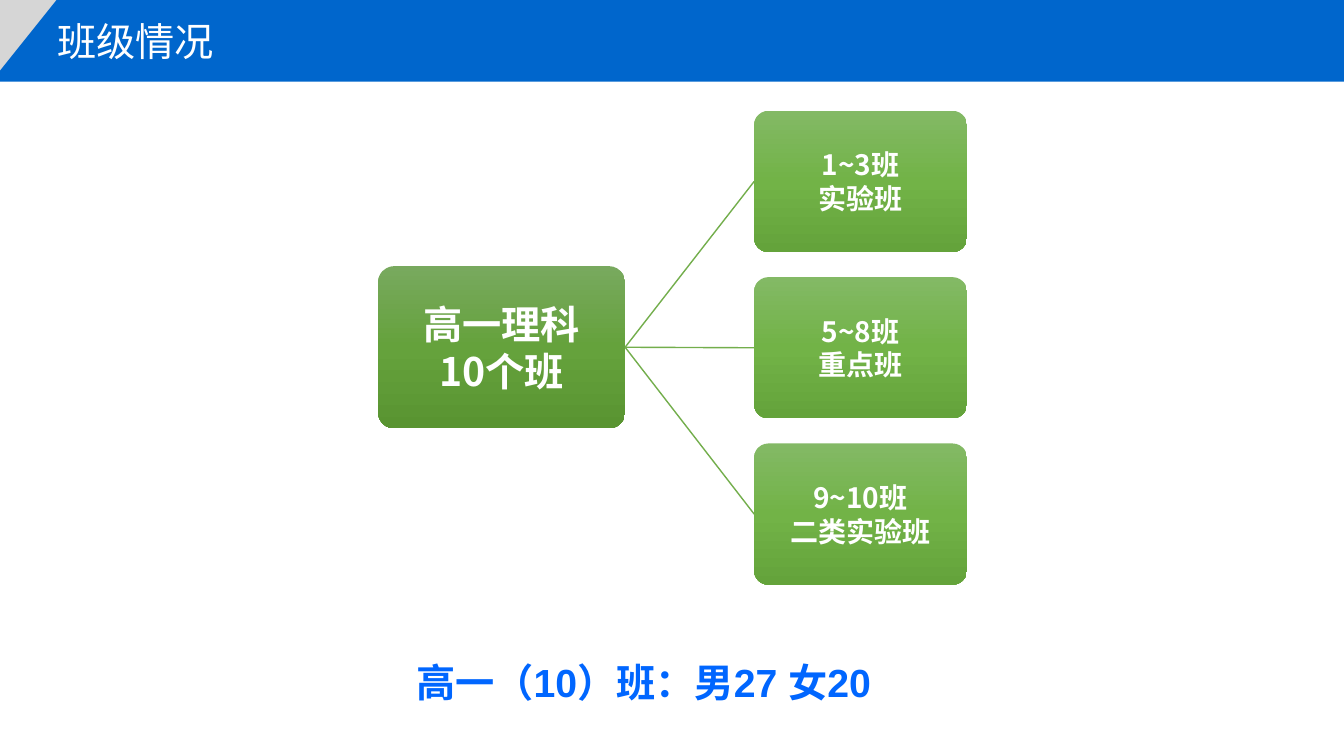
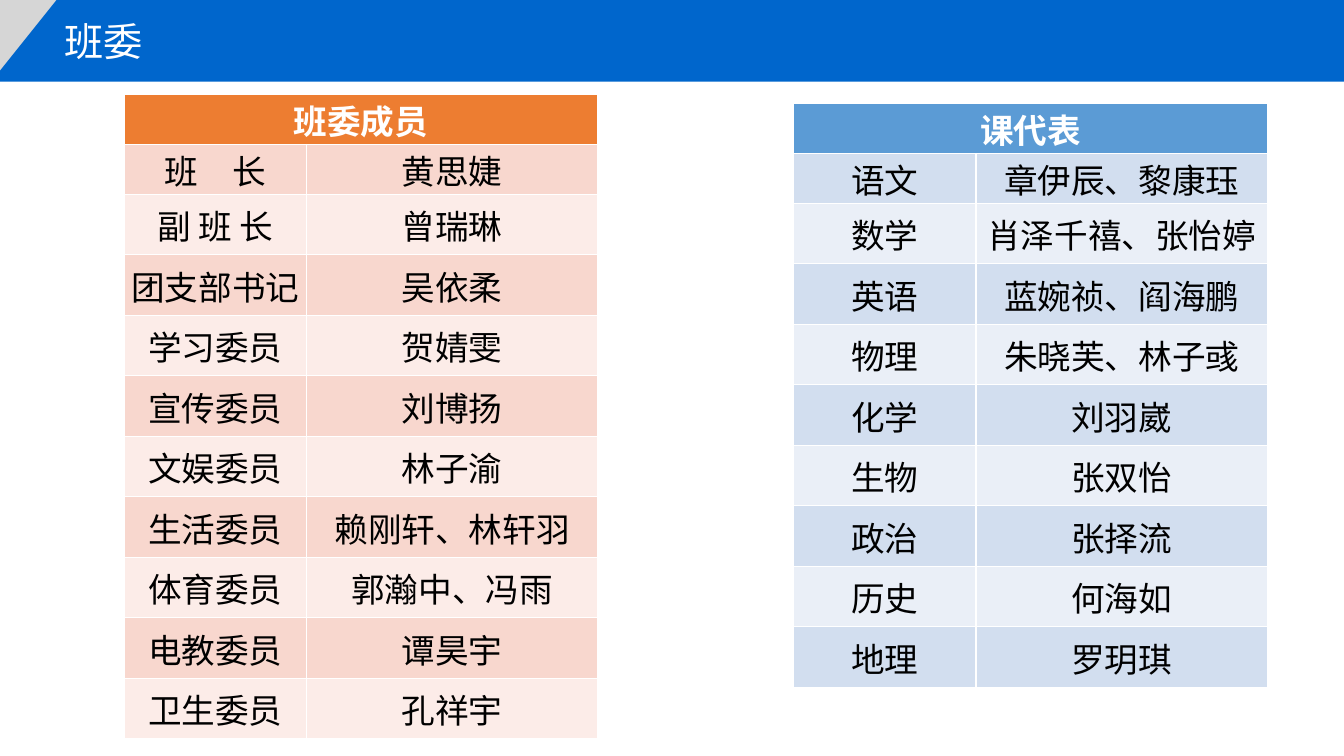
"""Build two class slides: a class tree and two tables of student roles."""
from copy import deepcopy
from lxml import etree
from pptx import Presentation
from pptx.dml.color import RGBColor
from pptx.enum import shapes, text
from pptx.oxml.ns import qn
from pptx.util import Inches, Pt

BLUE = RGBColor(0x00, 0x66, 0xCC)
BRIGHT = RGBColor(0x00, 0x66, 0xFF)
GREY = RGBColor(0xD6, 0xD6, 0xD6)
WHITE = RGBColor(0xFF, 0xFF, 0xFF)
BLACK = RGBColor(0x00, 0x00, 0x00)
GREEN = RGBColor(0x73, 0xAE, 0x4C)
DARK = [RGBColor(0x78, 0xA9, 0x5E), RGBColor(0x65, 0xA2, 0x3C), RGBColor(0x59, 0x94, 0x31)]
LIGHT = [RGBColor(0x83, 0xB9, 0x65), RGBColor(0x72, 0xB3, 0x47), RGBColor(0x64, 0xA3, 0x3B)]
ORANGE = RGBColor(0xED, 0x7D, 0x31)
PEACH = [RGBColor(0xF8, 0xD7, 0xCE), RGBColor(0xFC, 0xEC, 0xE8)]
SKY = RGBColor(0x5B, 0x9B, 0xD5)
PALE = [RGBColor(0xD2, 0xDE, 0xEF), RGBColor(0xEA, 0xEF, 0xF7)]
CJK = "Noto Sans CJK SC"


def write(frame, words, size=28, color=WHITE, bold=False, font="Arial",
          align=text.PP_ALIGN.CENTER):
    for i, line in enumerate(words.split("\n")):
        para = frame.add_paragraph() if i else frame.paragraphs[0]
        para.alignment = align
        run = para.add_run()
        run.text = line
        run.font.size, run.font.bold = Pt(size), bold
        run.font.color.rgb = color
        run.font.name = font
        props = run.font._element
        props.set("lang", "zh-CN")
        etree.SubElement(props, qn("a:ea")).set("typeface", CJK)


def node(slide, words, left, top, width, height, tones, size):
    box = slide.shapes.add_shape(shapes.MSO_SHAPE.ROUNDED_RECTANGLE, Inches(left),
                                 Inches(top), Inches(width), Inches(height))
    box.adjustments[0] = 0.1
    box.shadow.inherit = False
    box.line.fill.background()
    box.fill.gradient()
    box.fill.gradient_angle = 270
    stops = box._element.spPr.find(".//" + qn("a:gsLst"))
    stops.append(deepcopy(stops[-1]))
    for i, stop in enumerate(box.fill.gradient_stops):
        stop.position = i / 2
        stop.color.rgb = tones[i]
    frame = box.text_frame
    frame.word_wrap = True
    frame.vertical_anchor = text.MSO_ANCHOR.MIDDLE
    frame.margin_left = frame.margin_right = Inches(0.05)
    frame.margin_top = frame.margin_bottom = Inches(0.05)
    write(frame, words, size=size, bold=True, font=CJK)
    return box


deck = Presentation()
deck.slide_width, deck.slide_height = Inches(13.33), Inches(7.5)
layout = deck.slide_layouts[5]
pages = []
for words, left in [("班级情况", 0.47), ("班委", 0.54)]:
    page = deck.slides.add_slide(layout)
    title = page.shapes.title
    title.left, title.top = Inches(left), Inches(0.12)
    title.width, title.height = Inches(4.85), Inches(0.57)
    title.text_frame.auto_size = text.MSO_AUTO_SIZE.NONE
    write(title.text_frame, words, align=text.PP_ALIGN.LEFT)
    pages.append(page)
tree, roles = pages

band = tree.shapes.add_shape(shapes.MSO_SHAPE.RECTANGLE, 0, 0, deck.slide_width, Inches(0.81))
fold = tree.shapes.add_shape(shapes.MSO_SHAPE.RIGHT_TRIANGLE, 0, 0, Inches(0.56), Inches(0.7))
fold._element.spPr.xfrm.set("flipV", "1")
for i, (shape, color) in enumerate([(band, BLUE), (fold, GREY)]):
    shape.shadow.inherit = False
    shape.fill.solid()
    shape.fill.fore_color.rgb = color
    shape.line.fill.background()
    layout.shapes._spTree.insert(2 + i, shape._element)

root = node(tree, "高一理科\n10个班", 3.75, 2.64, 2.45, 1.61, DARK, 28)
for i, words in enumerate(["1~3班\n实验班", "5~8班\n重点班", "9~10班\n二类实验班"]):
    leaf = node(tree, words, 7.48, 1.1 + 1.65 * i, 2.11, 1.4, LIGHT, 20)
    link = tree.shapes.add_connector(shapes.MSO_CONNECTOR.STRAIGHT, 0, 0, 0, 0)
    link.begin_connect(root, 3)
    link.end_connect(leaf, 1)
    link.line.color.rgb, link.line.width = GREEN, Pt(1)
    etree.SubElement(link._element.spPr, qn("a:effectLst"))

note = tree.shapes.add_textbox(Inches(4.03), Inches(6.48), Inches(4.74), Inches(0.57))
note.text_frame.word_wrap = True
write(note.text_frame, "高一（10）班：男27 女20", color=BRIGHT, bold=True,
      align=text.PP_ALIGN.LEFT)

staff = [("班　长", "黄思婕"), ("副 班 长", "曾瑞琳"), ("团支部书记", "吴依柔"),
         ("学习委员", "贺婧雯"), ("宣传委员", "刘博扬"), ("文娱委员", "林子渝"),
         ("生活委员", "赖刚轩、林轩羽"), ("体育委员", "郭瀚中、冯雨"),
         ("电教委员", "谭昊宇"), ("卫生委员", "孔祥宇")]
leads = [("语文", "章伊辰、黎康珏"), ("数学", "肖泽千禧、张怡婷"),
         ("英语", "蓝婉祯、阎海鹏"), ("物理", "朱晓芙、林子彧"), ("化学", "刘羽崴"),
         ("生物", "张双怡"), ("政治", "张择流"), ("历史", "何海如"), ("地理", "罗玥琪")]
for head, rows, left, top, first, fill, bands in [
        ("班委成员", staff, 1.23, 0.94, 0.49, ORANGE, PEACH),
        ("课代表", leads, 7.87, 1.03, 0.45, SKY, PALE)]:
    heights = [first, 0.49] + [0.6] * (len(rows) - 1)
    grid = roles.shapes.add_table(len(heights), 2, Inches(left), Inches(top),
                                  Inches(4.7), Inches(sum(heights))).table
    grid.columns[0].width, grid.columns[1].width = Inches(1.81), Inches(2.89)
    grid.cell(0, 0).merge(grid.cell(0, 1))
    for r, (pair, height) in enumerate(zip([(head, "")] + rows, heights)):
        grid.rows[r].height = Inches(height)
        for c, words in enumerate(pair):
            cell = grid.cell(r, c)
            cell.fill.solid()
            cell.fill.fore_color.rgb = bands[(r - 1) % 2] if r else fill
            cell.vertical_anchor = text.MSO_ANCHOR.MIDDLE
            cell.margin_left = cell.margin_right = cell.margin_top = Inches(0.01)
            cell.margin_bottom = 0
            if words:
                write(cell.text_frame, words, size=24, color=BLACK if r else WHITE, bold=not r)

deck.save("out.pptx")
